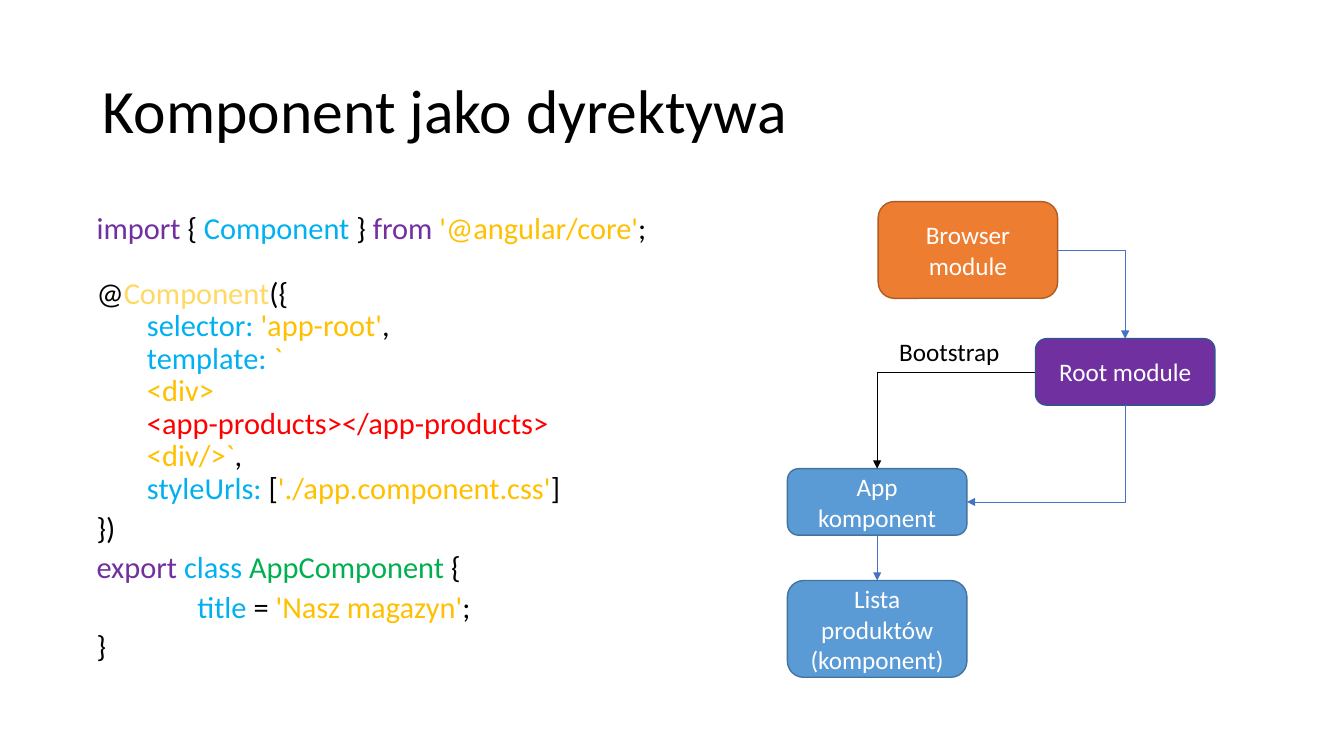
from dataclasses import dataclass

from lxml import etree
from pptx import Presentation
from pptx.dml.color import RGBColor
from pptx.enum.shapes import MSO_CONNECTOR, MSO_SHAPE
from pptx.enum.text import MSO_ANCHOR, MSO_AUTO_SIZE, PP_ALIGN
from pptx.oxml.ns import qn
from pptx.util import Inches, Pt

ROUNDED = MSO_SHAPE.ROUNDED_RECTANGLE
STRAIGHT, ELBOW = MSO_CONNECTOR.STRAIGHT, MSO_CONNECTOR.ELBOW
MIDDLE = MSO_ANCHOR.MIDDLE
CENTER, LEFT_ALIGNED = PP_ALIGN.CENTER, PP_ALIGN.LEFT
NO_AUTOFIT = MSO_AUTO_SIZE.NONE
TOP, LEFT, BOTTOM, RIGHT = range(4)


@dataclass(frozen=True)
class Theme:
    font: str = "Calibri"
    title_size: float = 44
    label_size: float = 18
    code_size: float = 21.7
    black: str = "000000"
    white: str = "FFFFFF"
    purple: str = "7030A0"
    purple_edge: str = "325491"
    orange: str = "ED7D31"
    orange_edge: str = "AF5C24"
    blue: str = "5B9BD5"
    blue_edge: str = "43739E"
    arrow: str = "4472C4"
    cyan: str = "00B0F0"
    gold: str = "FFC000"
    pale_gold: str = "FFD966"
    red: str = "FF0000"
    green: str = "00B050"


class SlideBuilder:
    def __init__(self, slide, theme):
        self.slide = slide
        self.theme = theme

    def format_font(self, font, size, color):
        font.name = self.theme.font
        font.size = Pt(size)
        font.color.rgb = RGBColor.from_string(color)

    def title(self, text, left, top, width, height):
        shape = self.slide.shapes.title
        shape.left, shape.top = Inches(left), Inches(top)
        shape.width, shape.height = Inches(width), Inches(height)
        frame = shape.text_frame
        frame.text = text
        frame.auto_size = NO_AUTOFIT
        frame.vertical_anchor = MIDDLE
        paragraph = frame.paragraphs[0]
        paragraph.alignment = LEFT_ALIGNED
        paragraph.line_spacing = 0.9
        self.format_font(paragraph.runs[0].font, self.theme.title_size, self.theme.black)

    def node(self, text, left, top, height, fill, edge):
        shape = self.slide.shapes.add_shape(
            ROUNDED, Inches(left), Inches(top), Inches(1.78), Inches(height))
        shape.shadow.inherit = False
        shape.fill.solid()
        shape.fill.fore_color.rgb = RGBColor.from_string(fill)
        shape.line.color.rgb = RGBColor.from_string(edge)
        shape.line.width = Pt(1)
        frame = shape.text_frame
        frame.text = text
        frame.word_wrap = True
        frame.vertical_anchor = MIDDLE
        paragraph = frame.paragraphs[0]
        paragraph.alignment = CENTER
        self.format_font(paragraph.runs[0].font, self.theme.label_size, self.theme.white)
        return shape

    def side_point(self, shape, side):
        x_factor, y_factor = {TOP: (1, 0), LEFT: (0, 1), BOTTOM: (1, 2), RIGHT: (2, 1)}[side]
        return (shape.left + shape.width * x_factor // 2,
                shape.top + shape.height * y_factor // 2)

    def arrow(self, start, start_side, end, end_side, color, kind=ELBOW):
        start_x, start_y = self.side_point(start, start_side)
        end_x, end_y = self.side_point(end, end_side)
        connector = self.slide.shapes.add_connector(kind, start_x, start_y, end_x, end_y)
        connector.begin_connect(start, start_side)
        connector.end_connect(end, end_side)
        connector.line.color.rgb = RGBColor.from_string(color)
        connector.line.width = Pt(0.5)
        properties = connector._element.spPr
        if kind == ELBOW:
            properties.find(qn("a:prstGeom")).set("prst", "bentConnector2")
            if start_side == BOTTOM:
                # Down, then left: a quarter turn about the centre
                across, down = start_x - end_x, end_y - start_y
                connector.left = (start_x + end_x - down) // 2
                connector.top = (start_y + end_y - across) // 2
                connector.width, connector.height = down, across
                transform = properties.find(qn("a:xfrm"))
                transform.attrib.pop("flipH", None)
                transform.set("rot", "5400000")
        line = properties.find(qn("a:ln"))
        etree.SubElement(line, qn("a:tailEnd"), type="triangle")
        etree.SubElement(properties, qn("a:effectLst"))

    def text_box(self, left, top, width, height):
        box = self.slide.shapes.add_textbox(
            Inches(left), Inches(top), Inches(width), Inches(height))
        box.text_frame.word_wrap = True
        return box.text_frame

    def label(self, text, left, top, width, height):
        frame = self.text_box(left, top, width, height)
        frame.text = text
        self.format_font(frame.paragraphs[0].runs[0].font,
                         self.theme.label_size, self.theme.black)

    def code(self, lines, left, top, width, height):
        frame = self.text_box(left, top, width, height)
        for index, (indent, space_before, pieces) in enumerate(lines):
            paragraph = frame.paragraphs[0] if index == 0 else frame.add_paragraph()
            paragraph.line_spacing = 0.7
            paragraph.space_before = Pt(space_before)
            properties = paragraph._p.get_or_add_pPr()
            properties.set("marL", str(Inches(indent)))
            properties.set("indent", "0")
            for text, color in pieces:
                run = paragraph.add_run()
                run.text = text
                self.format_font(run.font, self.theme.code_size, color)


def main():
    presentation = Presentation()
    presentation.slide_width = Inches(13.33)
    presentation.slide_height = Inches(7.5)
    theme = Theme()
    slide = presentation.slides.add_slide(presentation.slide_layouts[5])
    builder = SlideBuilder(slide, theme)
    builder.title("Komponent jako dyrektywa", 0.92, 0.4, 11.5, 1.45)

    # Module and component diagram
    browser = builder.node("Browser module", 8.71, 2, 0.96, theme.orange, theme.orange_edge)
    root = builder.node("Root module", 10.27, 3.36, 0.66, theme.purple, theme.purple_edge)
    app = builder.node("App komponent", 7.81, 4.65, 0.66, theme.blue, theme.blue_edge)
    products = builder.node("Lista produktów (komponent)", 7.81, 5.76, 0.96,
                            theme.blue, theme.blue_edge)
    builder.arrow(browser, RIGHT, root, TOP, theme.arrow)
    builder.arrow(root, BOTTOM, app, RIGHT, theme.arrow)
    builder.arrow(app, BOTTOM, products, TOP, theme.arrow, STRAIGHT)
    builder.arrow(root, LEFT, app, TOP, theme.black)
    builder.label("Bootstrap", 8.82, 3.29, 1.43, 0.4)

    # Code lines: indent, space before, coloured pieces
    black, purple, cyan, gold = theme.black, theme.purple, theme.cyan, theme.gold
    code_lines = [
        (0, 0, [("import", purple), (" { ", black), ("Component", cyan), (" } ", black),
                ("from ", purple), ("'@angular/core'", gold), (";", black)]),
        (0, 28.5, [("@", black), ("Component", theme.pale_gold), ("({", black)]),
        (0.5, 5, [("selector: ", cyan), ("'app-root'", gold), (",", black)]),
        (0.5, 5, [("template: ", cyan), ("`", gold)]),
        (0.5, 5, [("<div>", gold)]),
        (0.5, 5, [("<app-products></app-products>", theme.red)]),
        (0.5, 5, [("<div/>`", gold), (",", black)]),
        (0.5, 5, [("styleUrls:", cyan), (" [", black), ("'./app.component.css'", gold),
                  ("]", black)]),
        (0, 10, [("})", black)]),
        (0, 10, [("export ", purple), ("class ", cyan), ("AppComponent", theme.green),
                 (" {", black)]),
        (1, 10, [("title", cyan), (" = ", black), ("'Nasz magazyn'", gold), (";", black)]),
        (0, 10, [("}", black)]),
    ]
    builder.code(code_lines, 0.86, 2.12, 5.86, 4.76)
    presentation.save("out.pptx")


if __name__ == "__main__":
    main()
